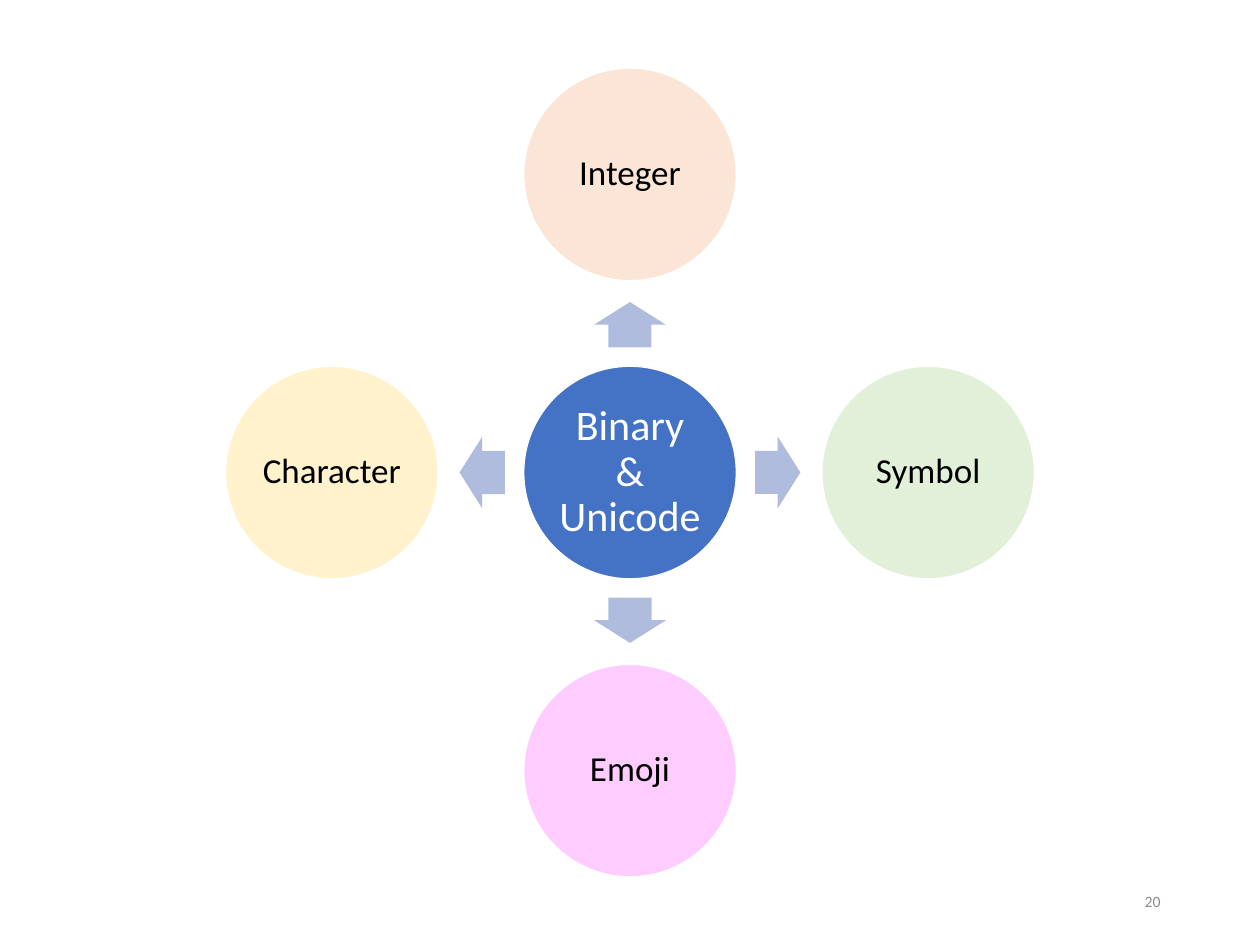
from dataclasses import dataclass

from pptx import Presentation
from pptx.dml.color import RGBColor
from pptx.enum.shapes import MSO_SHAPE
from pptx.enum.text import MSO_ANCHOR, PP_ALIGN
from pptx.util import Inches, Pt

CIRCLE, ARROW = MSO_SHAPE.OVAL, MSO_SHAPE.RIGHT_ARROW
MIDDLE = MSO_ANCHOR.MIDDLE
CENTER, RIGHT = PP_ALIGN.CENTER, PP_ALIGN.RIGHT


@dataclass(frozen=True)
class Theme:
    font: str = "Calibri"
    hub_size: int = 24
    node_size: int = 20
    number_size: int = 9
    hub: str = "4472C4"
    arrow: str = "B0BCDE"
    outline: str = "FFFFFF"
    light_text: str = "FFFFFF"
    dark_text: str = "000000"
    number_text: str = "8C8C8C"


THEME = Theme()

# Slide and radial layout, in inches
WIDTH, HEIGHT = 10, 7.5
MIDDLE_X, MIDDLE_Y = WIDTH / 2, HEIGHT / 2
DIAMETER = 1.69
ORBIT = 1.4 * DIAMETER
ARROW_ORBIT = ORBIT / 2 - 0.01
ARROW_LENGTH, ARROW_BREADTH = 0.36, 0.57
INSET = 0.03

# Label, fill, direction from the hub (x, y), arrow rotation
NODES = [
    ("Integer", "FBE5D6", (0, -1), 270),
    ("Symbol", "E2F0D9", (1, 0), 0),
    ("Emoji", "FFCCFF", (0, 1), 90),
    ("Character", "FFF2CC", (-1, 0), 180),
]


def write_text(shape, text, size, color, align):
    frame = shape.text_frame
    frame.word_wrap = True
    frame.vertical_anchor = MIDDLE
    frame.text = text
    para = frame.paragraphs[0]
    para.alignment = align
    font = para.runs[0].font
    font.name = THEME.font
    font.size = Pt(size)
    font.color.rgb = RGBColor.from_string(color)
    return para


def add_centered(page, kind, x, y, width, height, fill):
    """Add a flat preset shape around a centre point."""
    shape = page.shapes.add_shape(kind, Inches(x - width / 2), Inches(y - height / 2),
                                  Inches(width), Inches(height))
    shape.shadow.inherit = False
    shape.fill.solid()
    shape.fill.fore_color.rgb = RGBColor.from_string(fill)
    return shape


def add_circle(page, label, x, y, fill, size, color):
    circle = add_centered(page, CIRCLE, x, y, DIAMETER, DIAMETER, fill)
    circle.line.color.rgb = RGBColor.from_string(THEME.outline)
    circle.line.width = Pt(1)
    frame = circle.text_frame
    frame.margin_left = frame.margin_right = Inches(INSET)
    frame.margin_top = frame.margin_bottom = Inches(INSET)
    para = write_text(circle, label, size, color, CENTER)
    para.line_spacing = 0.9


def add_arrow(page, x, y, rotation):
    arrow = add_centered(page, ARROW, x, y, ARROW_LENGTH, ARROW_BREADTH, THEME.arrow)
    arrow.line.fill.background()
    arrow.adjustments[0] = 0.6
    arrow.adjustments[1] = 0.5
    arrow.rotation = rotation


def add_page_number(page, number):
    box = page.shapes.add_textbox(Inches(7.06), Inches(6.95), Inches(2.25), Inches(0.4))
    write_text(box, number, THEME.number_size, THEME.number_text, RIGHT)


def main():
    deck = Presentation()
    deck.slide_width, deck.slide_height = Inches(WIDTH), Inches(HEIGHT)
    page = deck.slides.add_slide(deck.slide_layouts[6])

    add_page_number(page, "20")

    # Hub
    add_circle(page, "Binary & Unicode", MIDDLE_X, MIDDLE_Y,
               THEME.hub, THEME.hub_size, THEME.light_text)

    # Arrows and the circles they point to
    for label, fill, (across, down), rotation in NODES:
        add_arrow(page, MIDDLE_X + across * ARROW_ORBIT,
                  MIDDLE_Y + down * ARROW_ORBIT, rotation)
        add_circle(page, label, MIDDLE_X + across * ORBIT, MIDDLE_Y + down * ORBIT,
                   fill, THEME.node_size, THEME.dark_text)

    deck.save("out.pptx")


if __name__ == "__main__":
    main()
